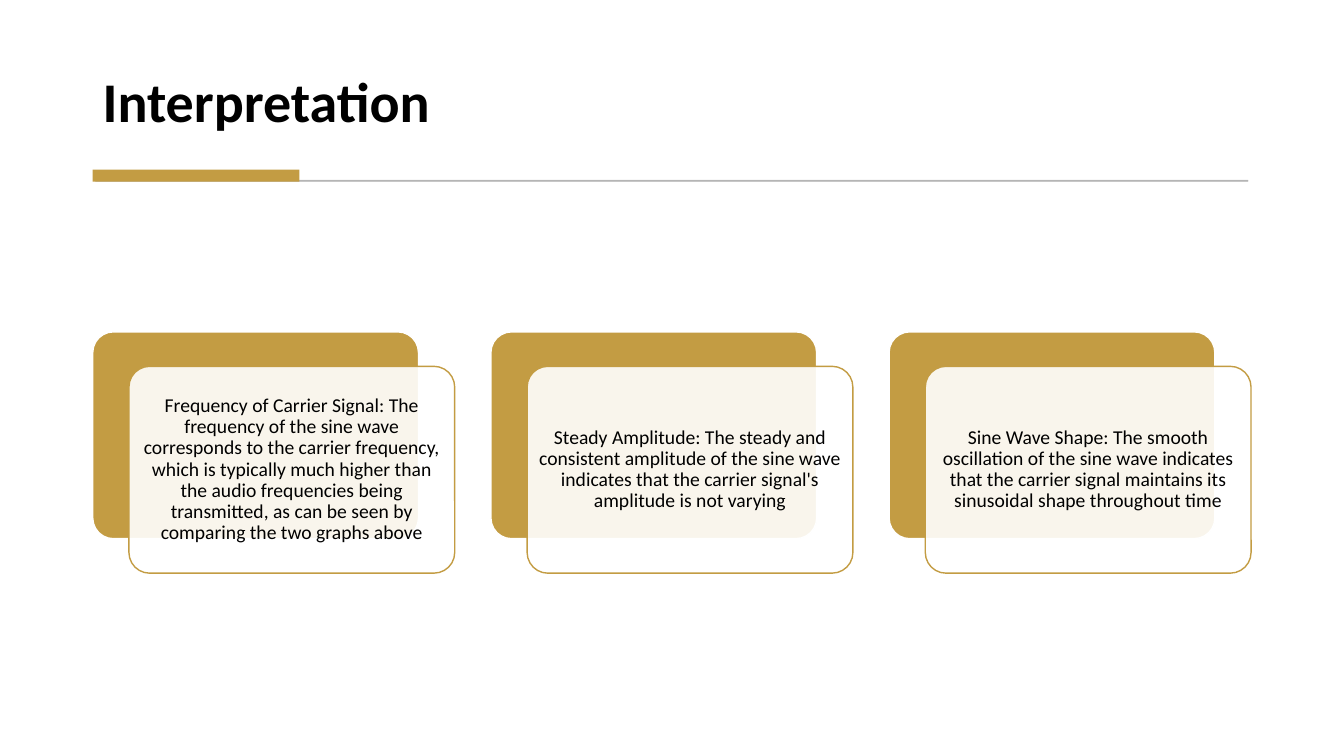
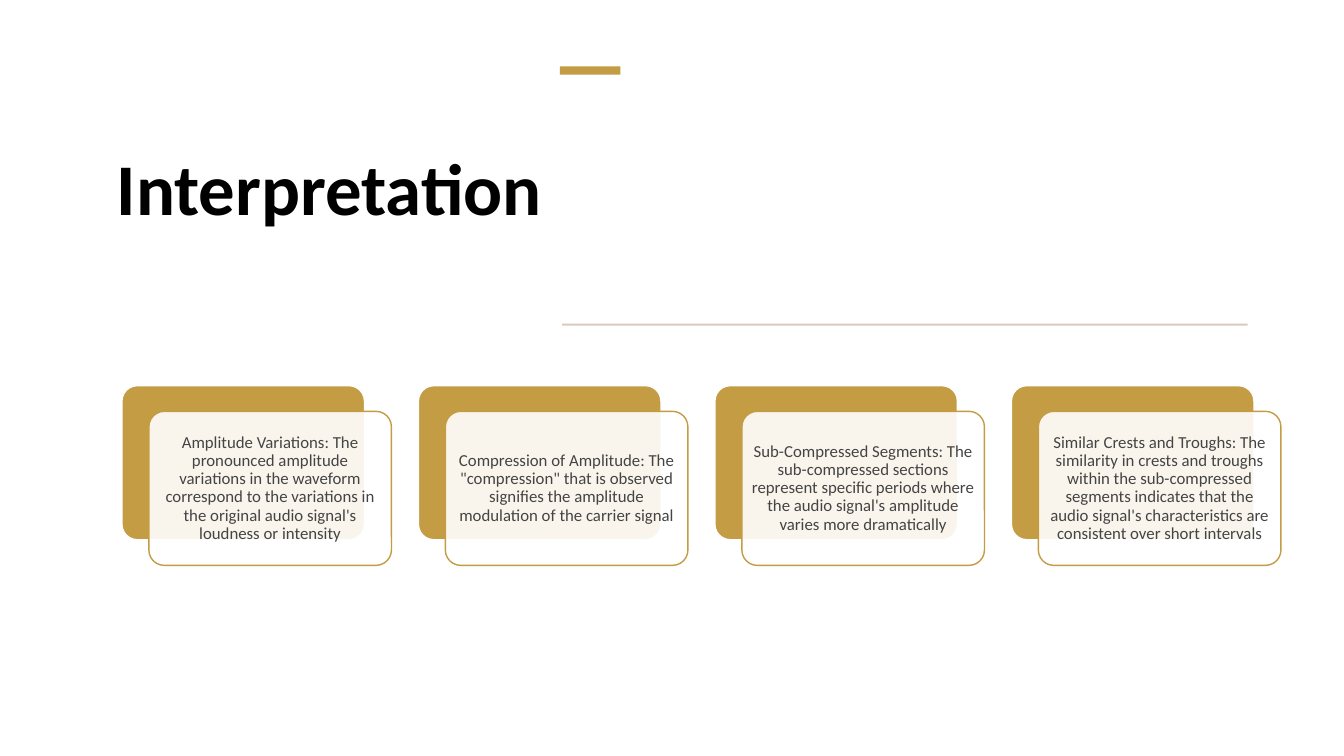
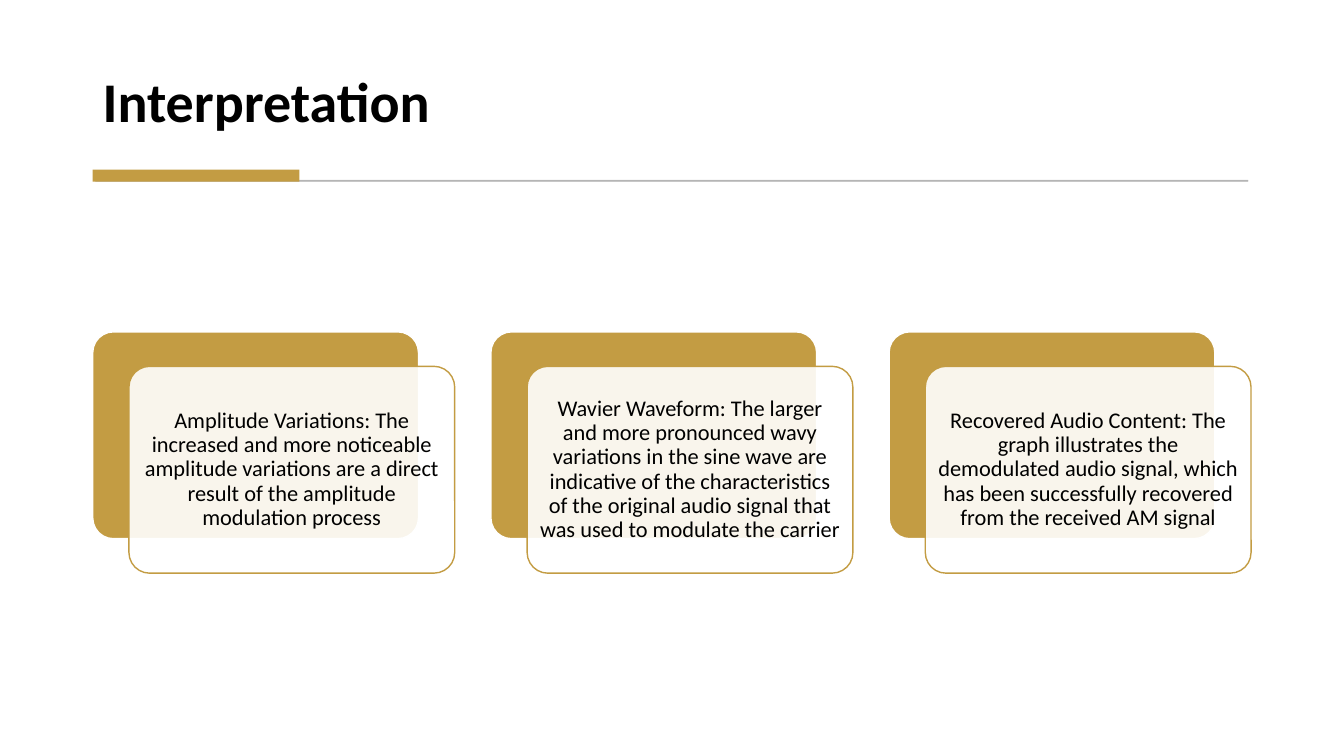
from dataclasses import dataclass

import lxml.etree
import pptx
import pptx.dml.color
import pptx.enum.shapes
import pptx.enum.text
import pptx.oxml.ns
import pptx.presentation
import pptx.shapes.autoshape
import pptx.slide
import pptx.text.text
import pptx.util

HEIGHT = pptx.util.Inches(7.5)
WIDTH = HEIGHT * 16 // 9
FONT = "Calibri"
GOLD, WHITE, BLACK = "C39C43", "FFFFFF", "000000"
DARK, GREY, BLUSH = "444444", "595959", "DBC8BD"
SHAPES = pptx.enum.shapes.MSO_SHAPE
ALIGN = pptx.enum.text.PP_ALIGN
ANCHOR = pptx.enum.text.MSO_ANCHOR


@dataclass(frozen=True)
class Box:
    """Left, top, width and height in percent of the slide's size."""

    x: float
    y: float
    w: float
    h: float

    def emu(self) -> tuple[int, int, int, int]:
        return (
            round(WIDTH * self.x / 100),
            round(HEIGHT * self.y / 100),
            round(WIDTH * self.w / 100),
            round(HEIGHT * self.h / 100),
        )


@dataclass(frozen=True)
class Bar:
    box: Box
    fill: str
    line: str | None = None
    opacity: int = 100


@dataclass(frozen=True)
class Theme:
    title: Box
    title_size: int
    bars: tuple[Bar, ...]
    first_card: Box
    text_color: str


@dataclass(frozen=True)
class Page:
    theme: Theme
    size: int
    inset: float
    cards: tuple[str, ...]


WIDE = Theme(
    title=Box(6.9, 3.65, 86.18, 14.8),
    title_size=40,
    bars=(
        Bar(Box(7.12, 23.85, 85.73, 0.13), GREY, GREY, 30),
        Bar(Box(6.9, 22.43, 15.37, 1.6), GOLD),
    ),
    first_card=Box(6.9, 43.9, 24.24, 27.36),
    text_color=BLACK,
)
SPLIT = Theme(
    title=Box(7.95, 8.8, 51.45, 22.4),
    title_size=52,
    bars=(
        Bar(Box(41.67, 8.8, 4.5, 1.07), GOLD),
        Bar(Box(41.83, 42.8, 51, 0.27), BLUSH),
    ),
    first_card=Box(9.07, 51.02, 18.05, 20.38),
    text_color=DARK,
)

PAGES = (
    Page(WIDE, 14, 0.05, (
        "Frequency of Carrier Signal: The frequency of the sine wave corresponds to the "
        "carrier frequency, which is typically much higher than the audio frequencies "
        "being transmitted, as can be seen by comparing the two graphs above",
        "Steady Amplitude: The steady and consistent amplitude of the sine wave indicates "
        "that the carrier signal's amplitude is not varying",
        "Sine Wave Shape: The smooth oscillation of the sine wave indicates that the "
        "carrier signal maintains its sinusoidal shape throughout time",
    )),
    Page(SPLIT, 12, 0.04, (
        "Amplitude Variations: The pronounced amplitude variations in the waveform "
        "correspond to the variations in the original audio signal's loudness or intensity",
        "Compression of Amplitude: The \"compression\" that is observed signifies the "
        "amplitude modulation of the carrier signal",
        "Sub-Compressed Segments: The sub-compressed sections represent specific periods "
        "where the audio signal's amplitude varies more dramatically",
        "Similar Crests and Troughs: The similarity in crests and troughs within the "
        "sub-compressed segments indicates that the audio signal's characteristics are "
        "consistent over short intervals",
    )),
    Page(WIDE, 16, 0.05, (
        "Amplitude Variations: The increased and more noticeable amplitude variations are "
        "a direct result of the amplitude modulation process",
        "Wavier Waveform: The larger and more pronounced wavy variations in the sine wave "
        "are indicative of the characteristics of the original audio signal that was used "
        "to modulate the carrier",
        "Recovered Audio Content: The graph illustrates the demodulated audio signal, "
        "which has been successfully recovered from the received AM signal",
    )),
)


def rgb(color: str) -> pptx.dml.color.RGBColor:
    return pptx.dml.color.RGBColor.from_string(color)


def fade(sp: pptx.shapes.autoshape.Shape, parent: str, opacity: int) -> None:
    for color in sp.element.spPr.findall(parent + pptx.oxml.ns.qn("a:srgbClr")):
        alpha = lxml.etree.SubElement(color, pptx.oxml.ns.qn("a:alpha"))
        alpha.set("val", str(opacity * 1000))


def add_block(slide: pptx.slide.Slide, kind: SHAPES, box: Box, fill: str,
              line: str | None = None, weight: float = 1,
              opacity: int = 100) -> pptx.shapes.autoshape.Shape:
    sp = slide.shapes.add_shape(kind, *box.emu())
    sp.shadow.inherit = False
    sp.fill.solid()
    sp.fill.fore_color.rgb = rgb(fill)
    if opacity < 100:
        fade(sp, pptx.oxml.ns.qn("a:solidFill") + "/", opacity)
    if line is None:
        sp.line.fill.background()
    else:
        sp.line.color.rgb = rgb(line)
        sp.line.width = pptx.util.Pt(weight)
    return sp


def add_bar(slide: pptx.slide.Slide, bar: Bar) -> None:
    sp = add_block(slide, SHAPES.RECTANGLE, bar.box, bar.fill, bar.line, 0.75, bar.opacity)
    if bar.line and bar.opacity < 100:
        fade(sp, pptx.oxml.ns.qn("a:ln") + "//", bar.opacity)


def write(tf: pptx.text.text.TextFrame, text: str, size: int, color: str,
          align: ALIGN, anchor: ANCHOR, bold: bool = False) -> None:
    tf.word_wrap = True
    tf.vertical_anchor = anchor
    p = tf.paragraphs[0]
    p.alignment = align
    p.line_spacing = 0.9
    r = p.add_run()
    r.text = text
    r.font.name = FONT
    r.font.size = pptx.util.Pt(size)
    r.font.bold = bold
    r.font.color.rgb = rgb(color)


def add_card(slide: pptx.slide.Slide, page: Page, index: int, text: str) -> None:
    first = page.theme.first_card
    back = Box(first.x + index * first.w * 11 / 9, first.y, first.w, first.h)
    front = Box(back.x + back.w / 9, back.y + back.h / 6, back.w, back.h)
    for box, fill, line, opacity in ((back, GOLD, WHITE, 100), (front, WHITE, GOLD, 90)):
        sp = add_block(slide, SHAPES.ROUNDED_RECTANGLE, box, fill, line, 1, opacity)
        sp.adjustments[0] = 0.1
    tf = sp.text_frame
    inset = pptx.util.Inches(page.inset)
    tf.margin_left = tf.margin_right = tf.margin_top = tf.margin_bottom = inset
    write(tf, text, page.size, page.theme.text_color, ALIGN.CENTER, ANCHOR.MIDDLE)


def add_page(prs: pptx.presentation.Presentation, page: Page) -> None:
    slide = prs.slides.add_slide(prs.slide_layouts[6])
    theme = page.theme
    title = slide.shapes.add_textbox(*theme.title.emu())
    write(title.text_frame, "Interpretation", theme.title_size, BLACK,
          ALIGN.LEFT, ANCHOR.BOTTOM, True)
    for bar in theme.bars:
        add_bar(slide, bar)
    for index, text in enumerate(page.cards):
        add_card(slide, page, index, text)


def main() -> None:
    prs = pptx.Presentation()
    prs.slide_width, prs.slide_height = WIDTH, HEIGHT
    for page in PAGES:
        add_page(prs, page)
    prs.save("out.pptx")


if __name__ == "__main__":
    main()
